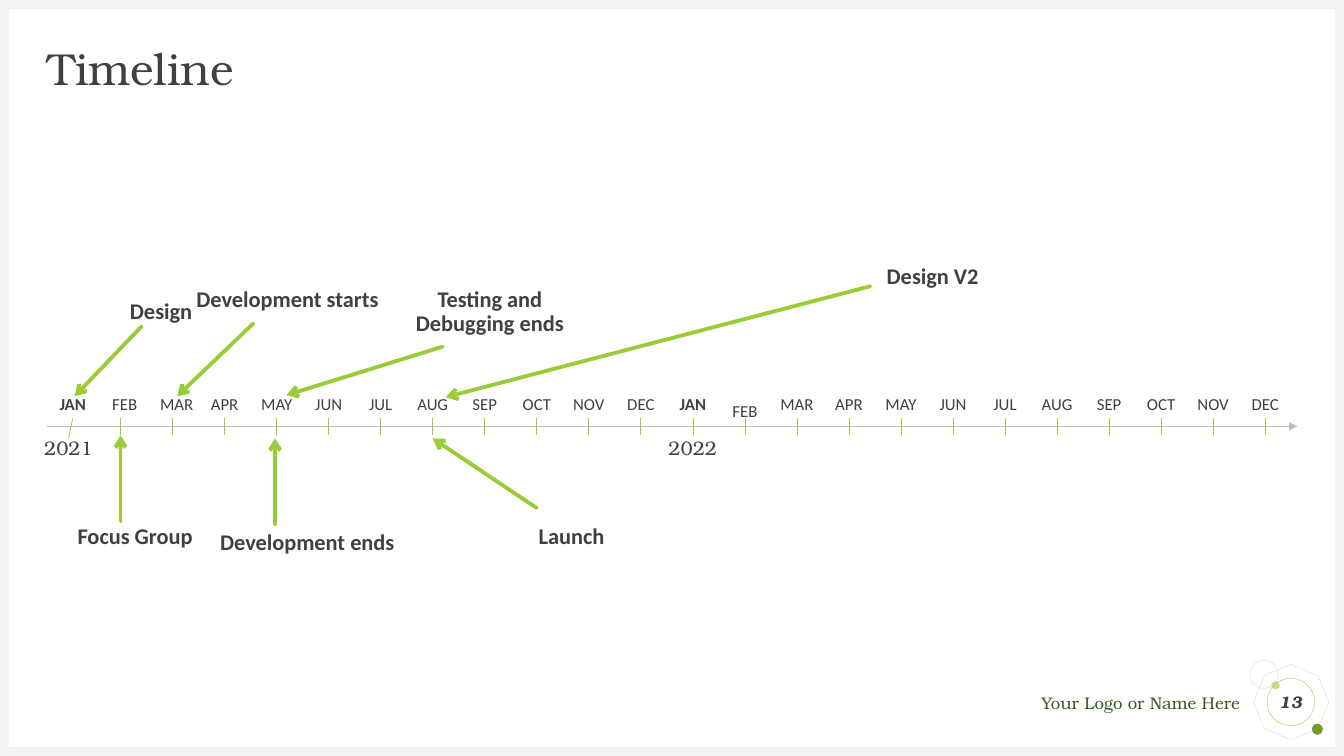
from lxml import etree
from pptx import Presentation, util as u
from pptx.dml.color import RGBColor
from pptx.enum import shapes, text
from pptx.oxml import ns

GREEN = RGBColor(0x9A, 0xCB, 0x39)
PALE_GREEN = RGBColor(0xC2, 0xE0, 0x88)
DEEP_GREEN = RGBColor(0x74, 0x9A, 0x29)
FOREST = RGBColor(0x37, 0x5C, 0x1E)
INK = RGBColor(0x40, 0x40, 0x40)
AXIS_GREY = RGBColor(0xBF, 0xBF, 0xBF)
RING_GREY = RGBColor(0xD9, 0xD9, 0xD9)
FRAME_GREY = RGBColor(0xF2, 0xF2, 0xF2)

SERIF, SANS = "TeX Gyre Bonum", "Calibri"
FIRST_TICK, COLUMN, ROW = 0.68, 0.516, 0.5
LABEL_ROW, AXIS_ROW, YEAR_ROW = 7.86, 8.46, 8.7
MONTHS = "JAN FEB MAR APR MAY JUN JUL AUG SEP OCT NOV DEC".split()
CALLOUTS = [
    ("Design", (-0.12, 5.88), (1.4, 6.48), (0.12, 7.86)),
    ("Focus Group", (-0.62, 10.34), (1, 10.34), (1, 8.64)),
    ("Development starts", (2.31, 5.64), (3.55, 6.42), (2.09, 7.86)),
    ("Development ends", (2.69, 10.46), (3.97, 10.4), (3.97, 8.7)),
    ("Launch", (7.77, 10.34), (9, 10.08), (7, 8.7)),
    ("Design V2", (14.71, 5.18), (15.41, 5.68), (7.25, 7.88)),
    ("Testing and Debugging ends", (6.2, 5.64), (7.19, 6.88), (4.19, 7.84)),
]


class TimelineSlide:
    """Draws on a grid of month columns, counted from the first tick, and half-inch rows."""

    def __init__(self, presentation):
        self.slide = presentation.slides.add_slide(presentation.slide_layouts[5])
        self.shapes = self.slide.shapes

    def point(self, column, row):
        return u.Inches(FIRST_TICK + column * COLUMN), u.Inches(row * ROW)

    def area(self, column, row, columns, rows):
        return (*self.point(column, row), u.Inches(columns * COLUMN), u.Inches(rows * ROW))

    def set_text(self, shape, words, size, font=SANS, color=INK, bold=False, italic=False,
                 align=text.PP_ALIGN.CENTER, anchor=text.MSO_ANCHOR.TOP, spacing=0.9, top=0):
        frame = shape.text_frame
        frame.text = words
        frame.word_wrap = True
        frame.auto_size = text.MSO_AUTO_SIZE.NONE
        frame.vertical_anchor = anchor
        frame.margin_left = frame.margin_right = frame.margin_bottom = 0
        frame.margin_top = u.Inches(top)
        paragraph = frame.paragraphs[0]
        paragraph.alignment = align
        paragraph.line_spacing = spacing
        style = paragraph.runs[0].font
        style.name, style.size, style.bold, style.italic = font, u.Pt(size), bold, italic
        style.color.rgb = color

    def title(self, words, *area):
        shape = self.shapes.title
        shape.left, shape.top, shape.width, shape.height = self.area(*area)
        self.set_text(shape, words, 32, SERIF, align=text.PP_ALIGN.LEFT,
                      anchor=text.MSO_ANCHOR.MIDDLE)

    def label(self, words, area, size, **style):
        self.set_text(self.shapes.add_textbox(*self.area(*area)), words, size, **style)

    def shape(self, kind, area, fill=None, line=None, rotation=0):
        shape = self.shapes.add_shape(kind, *self.area(*area))
        shape.shadow.inherit = False
        shape.rotation = rotation
        if fill is None:
            shape.fill.background()
        else:
            shape.fill.solid()
            shape.fill.fore_color.rgb = fill
        if line is None:
            shape.line.fill.background()
        else:
            shape.line.color.rgb = line
            shape.line.width = u.Pt(0.25)
        return shape

    def line(self, start, end, color, width, head=None, group=None):
        target = group.shapes if group is not None else self.shapes
        connector = target.add_connector(
            shapes.MSO_CONNECTOR.STRAIGHT, *self.point(*start), *self.point(*end))
        connector.line.color.rgb = color
        connector.line.width = u.Pt(width)
        properties = connector._element.spPr
        if head:
            outline = properties.find(ns.qn("a:ln"))
            outline.set("cap", "rnd" if head == "arrow" else "flat")
            etree.SubElement(outline, ns.qn("a:tailEnd"), type=head)
        etree.SubElement(properties, ns.qn("a:effectLst"))

    def callout(self, words, corner, start, end):
        self.line(start, end, GREEN, 2.75, "arrow")
        self.label(words, (*corner, 3.8, 1.22), 16, bold=True, top=0.04)


def draw_frame(page):
    for area in ((-1.32, 14.82, 25.84, 0.18), (-1.32, 0, 25.84, 0.18),
                 (-1.32, 0, 0.17, 15), (24.35, 0, 0.17, 15)):
        page.shape(shapes.MSO_SHAPE.RECTANGLE, area, fill=FRAME_GREY)


def draw_badge(page):
    oval = shapes.MSO_SHAPE.OVAL
    page.shape(shapes.MSO_SHAPE.OCTAGON, (22.83, 13.24, 1.34, 1.38),
               line=RING_GREY, rotation=22.7)
    page.shape(oval, (23.12, 13.52, 0.16, 0.16), fill=PALE_GREEN)
    page.shape(oval, (23.9, 14.36, 0.21, 0.22), fill=DEEP_GREEN)
    page.shape(oval, (22.71, 13.1, 0.54, 0.56), line=RING_GREY)
    number = page.shape(oval, (23.04, 13.46, 0.91, 0.94), line=GREEN)
    page.set_text(number, "13", 12, SERIF, bold=True, italic=True,
                  anchor=text.MSO_ANCHOR.MIDDLE, spacing=1.0)
    page.label("Your Logo or Name Here", (17.19, 13.74, 5.33, 0.4), 12, font=SERIF,
               color=FOREST, align=text.PP_ALIGN.RIGHT, spacing=1.0)


def draw_axis(page):
    page.line((-0.41, AXIS_ROW), (23.62, AXIS_ROW), AXIS_GREY, 0.5, "triangle")
    ticks = page.shapes.add_group_shape()
    for index, month in enumerate(MONTHS * 2):
        shift = 0.08 if index < 3 else 0
        row = 8 if index == 13 else LABEL_ROW
        page.label(month, (index + shift - 0.4, row, 0.8, 0.44), 12, bold=month == "JAN")
        top, bottom = ((0.08, 8.3), (0, 8.7)) if index == 0 else ((index, 8.3), (index, 8.64))
        page.line(top, bottom, GREEN, 0.5 if index < 12 else 0.25, group=ticks)
    for index, year in enumerate(("2021", "2022")):
        page.label(year, (index * 12 - 0.58, YEAR_ROW, 1.16, 0.44), 14, font=SERIF,
                   anchor=text.MSO_ANCHOR.MIDDLE)


def main():
    presentation = Presentation()
    presentation.slide_width = u.Inches(13.33)
    presentation.slide_height = u.Inches(7.5)
    page = TimelineSlide(presentation)
    draw_frame(page)
    page.title("Timeline", -0.41, 0.94, 24.03, 0.94)
    draw_axis(page)
    draw_badge(page)
    for callout in CALLOUTS:
        page.callout(*callout)
    presentation.save("out.pptx")


if __name__ == "__main__":
    main()
